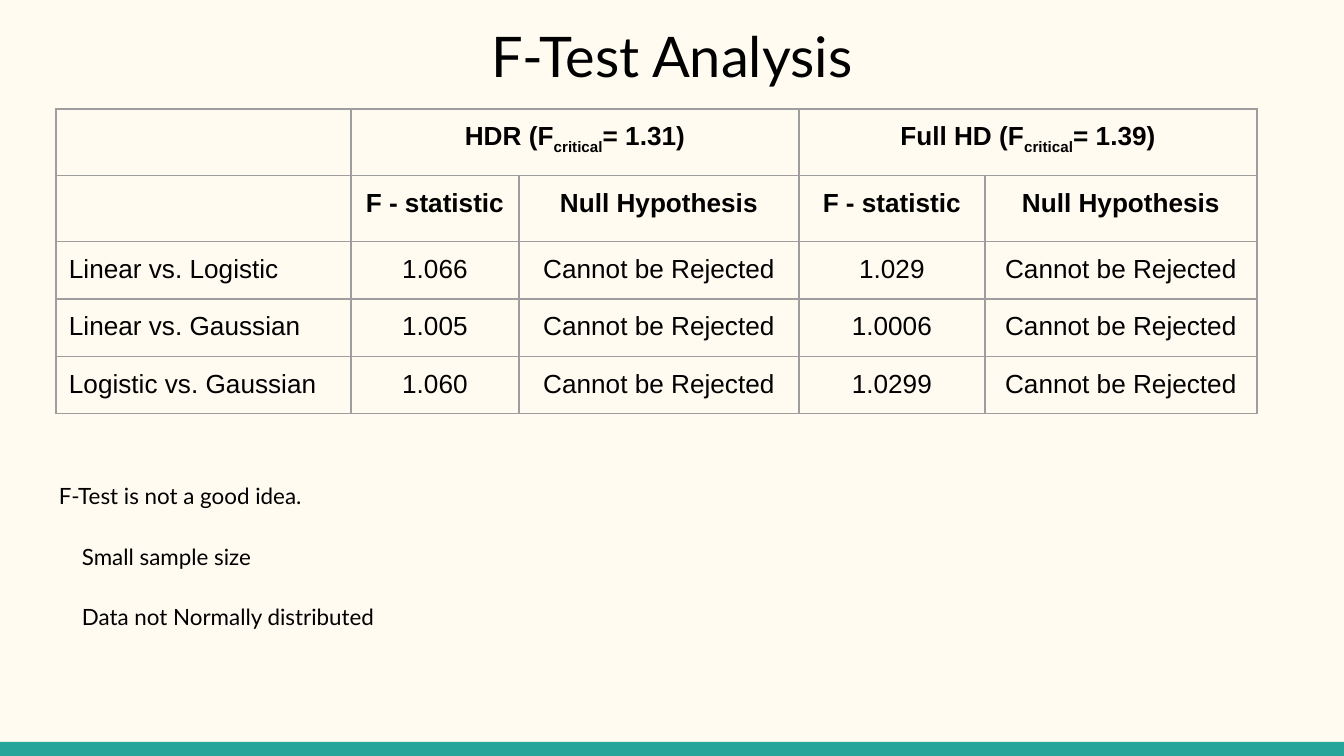
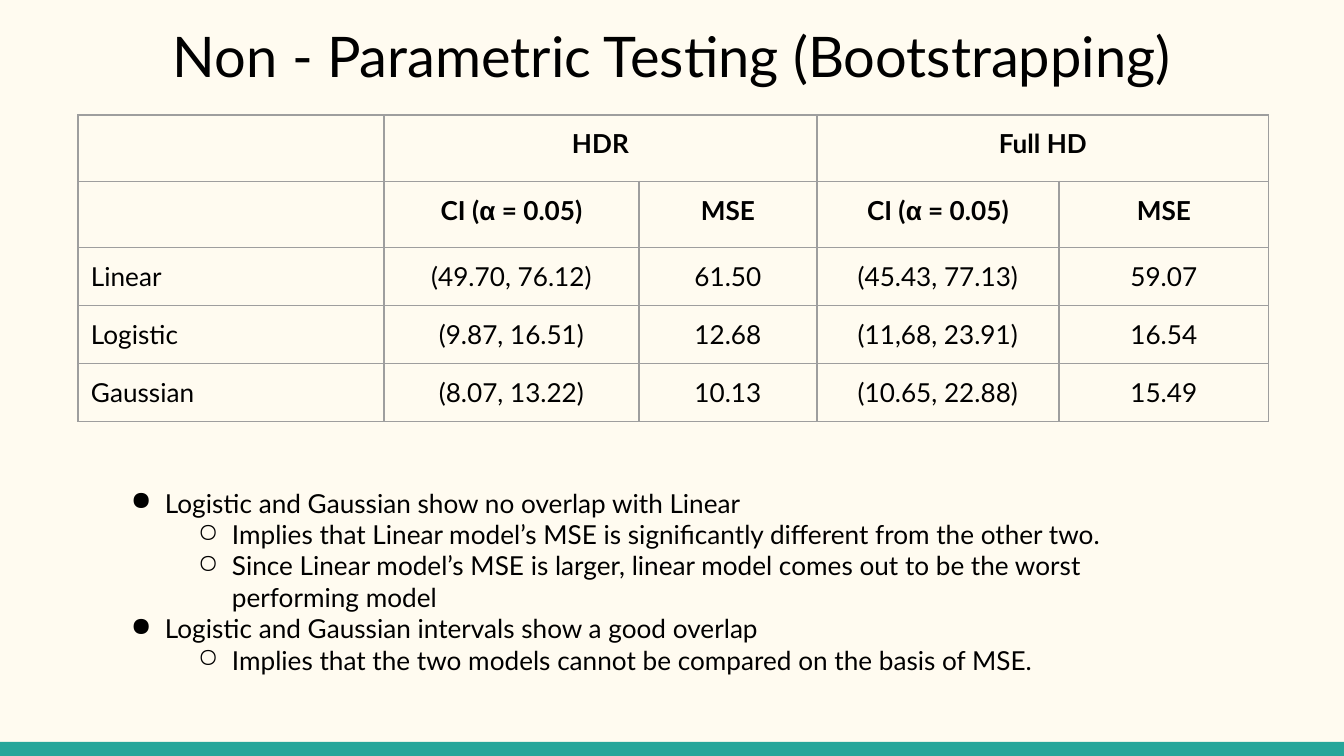
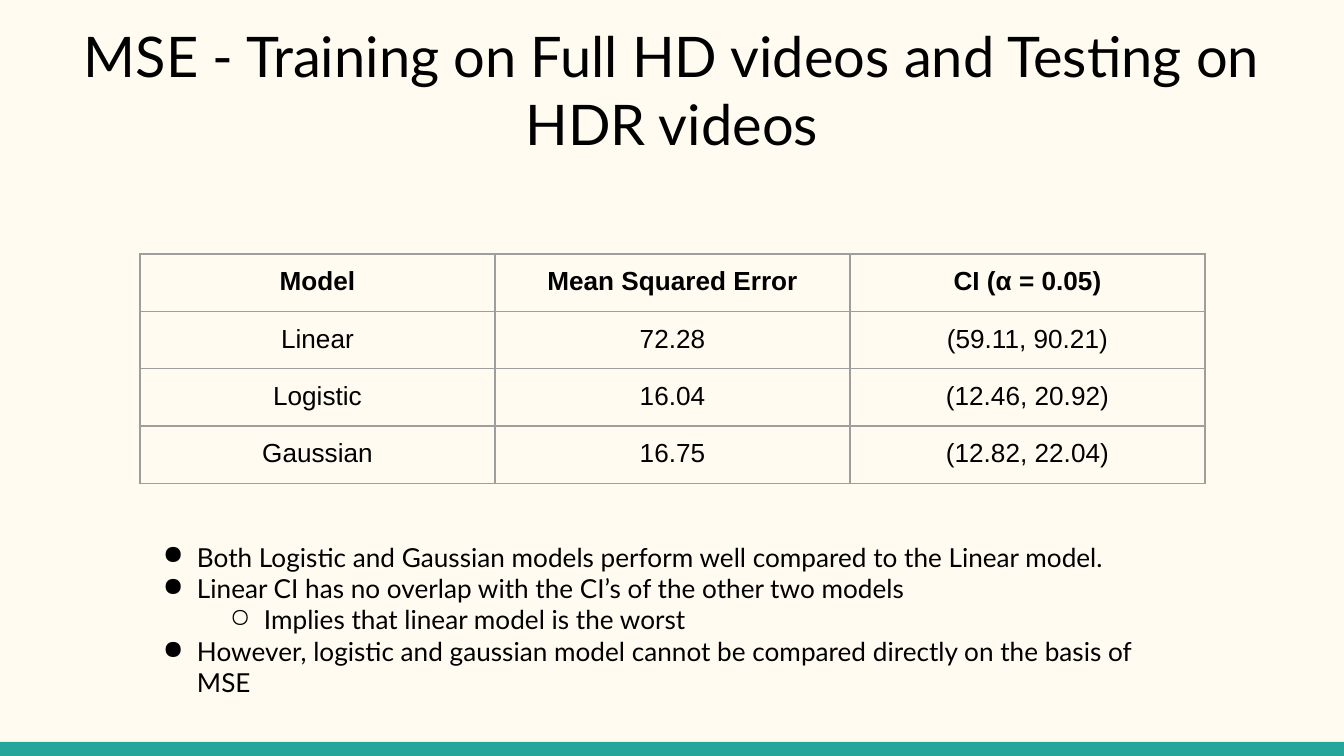
import pptx
import pptx.dml.color
import pptx.enum.shapes
import pptx.enum.text
import pptx.oxml.ns
import pptx.util
from lxml import etree

PX = 914400 / 134.4
WIDTH, HEIGHT = 1344, 756
PAD = 13
CREAM, TEAL, GREY, BLACK = "FFFBF0", "26A69A", "9E9E9E", "000000"
CENTER = pptx.enum.text.PP_ALIGN.CENTER
LEFT = pptx.enum.text.PP_ALIGN.LEFT
TITLE_BOX = (46, 9, 1252, 90)
BAND_BOX = (0, 742, WIDTH, 14)
BULLETS = "●○"


def px(length):
    """Turn px into EMU."""
    return pptx.util.Emu(round(length * PX))


def color(value):
    """Turn a hex string into a colour."""
    return pptx.dml.color.RGBColor.from_string(value)


def add_xml(parent, tag, **attributes):
    """Append a drawing element with attributes."""
    element = etree.SubElement(parent, pptx.oxml.ns.qn(tag))
    for name, value in attributes.items():
        element.set(name, str(value))
    return element


def write(para, text, size=14, font="Lato", bold=False, baseline=0):
    """Add one formatted span to a paragraph."""
    span = para.add_run()
    span.text = text
    span.font.size = pptx.util.Pt(size)
    span.font.name = font
    span.font.bold = bold
    span.font.color.rgb = color(BLACK)
    if baseline:
        span._r.get_or_add_rPr().set("baseline", str(baseline))


def indent(para, margin, hanging):
    """Set the left margin and hanging indent of a paragraph."""
    properties = para._p.get_or_add_pPr()
    properties.set("marL", str(px(margin)))
    properties.set("indent", str(px(-hanging)))
    return properties


def add_text_box(page, box):
    """Add a wrapping text box and return its frame."""
    frame = page.shapes.add_textbox(*map(px, box)).text_frame
    frame.word_wrap = True
    frame.margin_left = frame.margin_right = px(PAD)
    frame.margin_top = frame.margin_bottom = px(PAD)
    return frame


def each_para(frame, items):
    """Pair each item with a paragraph of the frame."""
    for index, item in enumerate(items):
        yield (frame.add_paragraph() if index else frame.paragraphs[0]), item


def add_page(deck, title):
    """Add a page with the band and the title."""
    page = deck.slides.add_slide(deck.slide_layouts[6])
    band = page.shapes.add_shape(pptx.enum.shapes.MSO_SHAPE.RECTANGLE, *map(px, BAND_BOX))
    band.shadow.inherit = False
    band.fill.solid()
    band.fill.fore_color.rgb = color(TEAL)
    band.line.fill.background()
    para = add_text_box(page, TITLE_BOX).paragraphs[0]
    para.alignment = CENTER
    write(para, title, size=30)
    return page


def style_cell(cell):
    """Give a cell its margins, grey borders and no fill."""
    cell.margin_left = cell.margin_right = px(PAD)
    cell.margin_top = cell.margin_bottom = px(PAD)
    properties = cell._tc.get_or_add_tcPr()
    for side in ("a:lnL", "a:lnR", "a:lnT", "a:lnB"):
        line = add_xml(properties, side, w=pptx.util.Pt(0.75))
        add_xml(add_xml(line, "a:solidFill"), "a:srgbClr", val=GREY)
    cell.fill.background()


def add_grid(page, left, top, widths, heights, rows, font,
             header_rows=1, label_align=CENTER, pairs=()):
    """Add a bordered table; pairs are columns that merge with the next in the top row."""
    frame = page.shapes.add_table(len(rows), len(widths), px(left), px(top),
                                  px(sum(widths)), px(sum(heights)))
    grid = frame.table
    grid.first_row = grid.horz_banding = False
    for column, width in zip(grid.columns, widths):
        column.width = px(width)
    for row, height in zip(grid.rows, heights):
        row.height = px(height)
    for row_index, row in enumerate(rows):
        for column_index, content in enumerate(row):
            cell = grid.cell(row_index, column_index)
            style_cell(cell)
            para = cell.text_frame.paragraphs[0]
            para.alignment = CENTER if column_index else label_align
            spans = [(content, {})] if isinstance(content, str) else content
            for text, change in spans:
                write(para, text, **{"font": font, "bold": row_index < header_rows, **change})
    for column_index in pairs:
        grid.cell(0, column_index).merge(grid.cell(0, column_index + 1))


def add_bullets(page, box, items):
    """Add a bulleted list of (level, text) items."""
    for para, (level, text) in each_para(add_text_box(page, box), items):
        para.level = level
        properties = indent(para, 67 * (level + 1), 34)
        add_xml(properties, "a:buChar", char=BULLETS[level])
        write(para, text)


def add_remarks(page, box, items):
    """Add spaced lines, all but the first indented."""
    for index, (para, text) in enumerate(each_para(add_text_box(page, box), items)):
        para.line_spacing = 1.15
        para.space_after = pptx.util.Pt(16)
        if index:
            indent(para, 67, 44)
        write(para, text, size=12)


def f_test_page(deck):
    """Build the F-test page."""
    def critical(name, value):
        """Make a heading with a subscript."""
        return [(f"{name} (F", {}), ("critical", {"baseline": -25000}), (f"= {value})", {})]

    page = add_page(deck, "F-Test Analysis")
    verdict = "Cannot be Rejected"
    results = [("Linear vs. Logistic", "1.066", "1.029"),
               ("Linear vs. Gaussian", "1.005", "1.0006"),
               ("Logistic vs. Gaussian", "1.060", "1.0299")]
    add_remarks(page, (46, 465, 1252, 207),
                ["F-Test is not a good idea.", "Small sample size", "Data not Normally distributed"])
    add_grid(page, 56, 109, [295, 168, 280, 186, 272], [64] * 2 + [56] * 3,
             [["", critical("HDR", "1.31"), [], critical("Full HD", "1.39"), []],
              [""] + ["F - statistic", "Null Hypothesis"] * 2]
             + [[label, hdr, verdict, full_hd, verdict] for label, hdr, full_hd in results],
             "Arial", header_rows=2, label_align=LEFT, pairs=(1, 3))


def bootstrapping_page(deck):
    """Build the bootstrapping page."""
    page = add_page(deck, "Non - Parametric Testing (Bootstrapping)")
    interval = [("CI (", {}), ("α", {"font": "Arial"}), (" = 0.05)", {})]
    add_grid(page, 78, 115, [306, 255, 178, 242, 210], [64] * 2 + [58] * 3,
             [["", "HDR", [], "Full HD", []],
              [""] + [interval, "MSE"] * 2,
              ["Linear", "(49.70, 76.12)", "61.50", "(45.43, 77.13)", "59.07"],
              ["Logistic", "(9.87, 16.51)", "12.68", "(11,68, 23.91)", "16.54"],
              ["Gaussian", "(8.07, 13.22)", "10.13", "(10.65, 22.88)", "15.49"]],
             "Lato", header_rows=2, label_align=LEFT, pairs=(1, 3))
    add_bullets(page, (85, 474, 1089, 128), [
        (0, "Logistic and Gaussian show no overlap with Linear"),
        (1, "Implies that Linear model’s MSE is significantly different from the other two."),
        (1, "Since Linear model’s MSE is larger, linear model comes out to be the worst "
            "performing model"),
        (0, "Logistic and Gaussian intervals show a good overlap"),
        (1, "Implies that the two models cannot be compared on the basis of MSE.")])


def cross_testing_page(deck):
    """Build the page on training and testing across formats."""
    page = add_page(deck, "MSE - Training on Full HD videos and Testing on HDR videos")
    add_grid(page, 140, 254, [355] * 3, [56] * 4,
             [["Model", "Mean Squared Error", "CI (α = 0.05)"],
              ["Linear", "72.28", "(59.11, 90.21)"],
              ["Logistic", "16.04", "(12.46, 20.92)"],
              ["Gaussian", "16.75", "(12.82, 22.04)"]], "Arial")
    add_bullets(page, (117, 528, 1089, 128), [
        (0, "Both Logistic and Gaussian models perform well compared to the Linear model."),
        (0, "Linear CI has no overlap with the CI’s of the other two models"),
        (1, "Implies that linear model is the worst"),
        (0, "However, logistic and gaussian model cannot be compared directly on the basis of MSE")])


def main():
    """Build and save the deck."""
    deck = pptx.Presentation()
    deck.slide_width, deck.slide_height = px(WIDTH), px(HEIGHT)
    backdrop = deck.slide_master.background.fill
    backdrop.solid()
    backdrop.fore_color.rgb = color(CREAM)
    for build in (f_test_page, bootstrapping_page, cross_testing_page):
        build(deck)
    deck.save("out.pptx")


if __name__ == "__main__":
    main()
